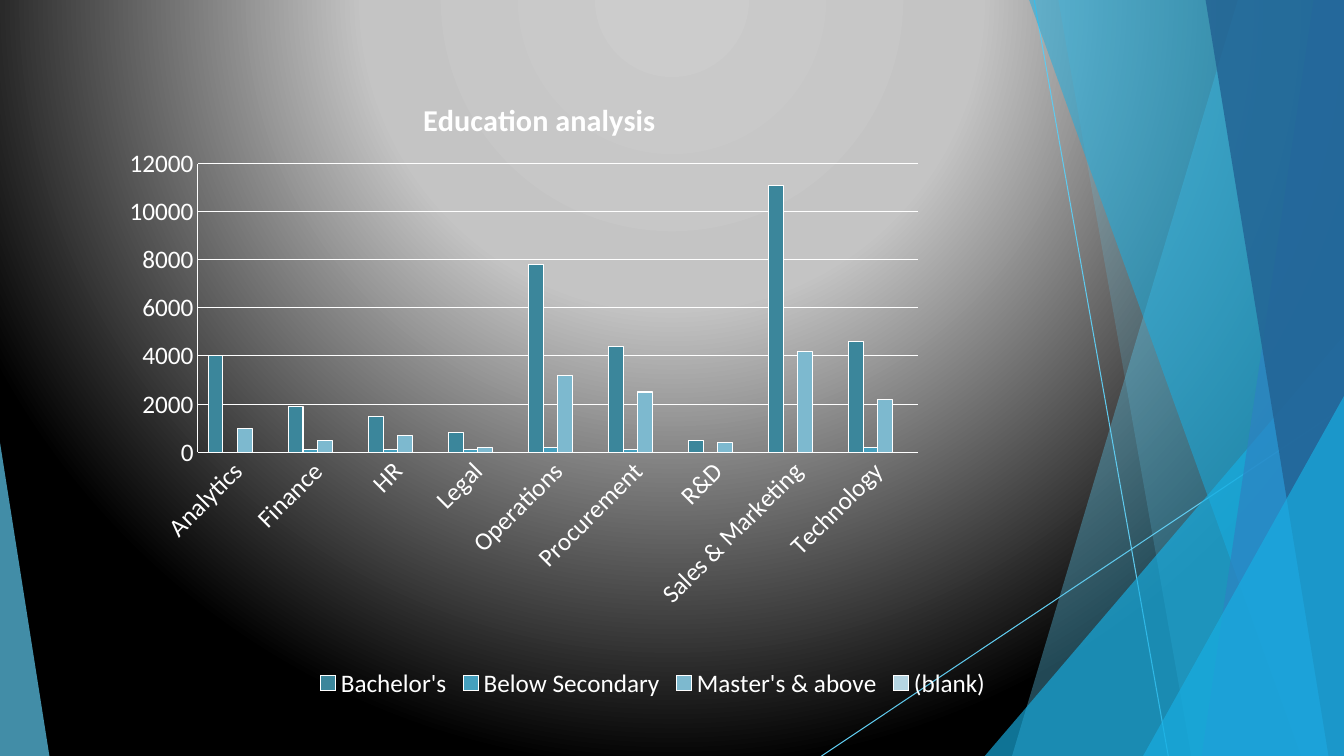
"""Build the education analysis slide: faceted backdrop and a clustered column chart."""
from lxml import etree
from pptx import Presentation
from pptx.chart.data import CategoryChartData
from pptx.dml.color import RGBColor
from pptx.enum.chart import XL_CHART_TYPE, XL_LEGEND_POSITION, XL_TICK_MARK
from pptx.enum.shapes import MSO_CONNECTOR
from pptx.oxml import parse_xml
from pptx.oxml.ns import qn
from pptx.util import Inches, Pt

COLUMNS = XL_CHART_TYPE.COLUMN_CLUSTERED
BOTTOM = XL_LEGEND_POSITION.BOTTOM
NO_TICK = XL_TICK_MARK.NONE
STRAIGHT = MSO_CONNECTOR.STRAIGHT
DRAWING = "http://schemas.openxmlformats.org/drawingml/2006/main"
CHARTING = "http://schemas.openxmlformats.org/drawingml/2006/chart"

THEME = {
    "font": "Calibri", "text": "FFFFFF", "size": 18, "title_size": 21.6,
    "sky": "5FCAEE", "cyan": "17AFE3", "blue": "2D83C3", "navy": "226192",
    "bars": ["3B869B", "45A0BE", "7DB9CF", "B5D5E2"],
    "glow": [(0, "CCCCCC"), (40, "C4C4C4"), (100, "000000")],
}
WIDTH, HEIGHT = 13.333, 7.5


def color(name):
    return RGBColor.from_string(THEME.get(name, name))


def style_text(font, size=THEME["size"], bold=False):
    font.name = THEME["font"]
    font.size = Pt(size)
    font.bold = bold
    font.color.rgb = color("text")


deck = Presentation()
deck.slide_width, deck.slide_height = Inches(WIDTH), Inches(HEIGHT)
page = deck.slides.add_slide(deck.slide_layouts[6])

backdrop = page.background.fill
backdrop.gradient()
gradient = page.element.find(".//" + qn("a:gradFill"))
stops = "".join(
    f'<a:gs pos="{share * 1000}"><a:srgbClr val="{tone}"/></a:gs>'
    for share, tone in THEME["glow"]
)
gradient.getparent().replace(gradient, parse_xml(
    f'<a:gradFill xmlns:a="{DRAWING}" rotWithShape="1"><a:gsLst>{stops}</a:gsLst>'
    '<a:path path="circle"><a:fillToRect l="50000" t="-80000" r="50000" b="180000"/>'
    '</a:path></a:gradFill>'
))

for start, end in [((10.26, 0), (11.59, HEIGHT)), ((WIDTH, 4.04), (8.15, HEIGHT))]:
    ray = page.shapes.add_connector(STRAIGHT, *map(Inches, start + end))
    ray.line.color.rgb = color("sky")
    ray.line.width = Pt(0.75)
    etree.SubElement(ray._element.spPr, qn("a:effectLst"))

right_top, right_foot = (WIDTH, 0), (WIDTH, HEIGHT)
facets = [
    ("sky", 36, [right_top, (12.28, 0), (10.04, HEIGHT), right_foot]),
    ("sky", 20, [right_top, (10.5, 0), (11.82, HEIGHT), right_foot]),
    ("cyan", 66, [(WIDTH, 3.33), (9.77, HEIGHT), right_foot]),
    ("cyan", 50, [right_top, (10.21, 0), (12.91, HEIGHT), right_foot]),
    ("blue", 70, [right_top, (13.03, 0), (11.92, HEIGHT), right_foot]),
    ("navy", 80, [right_top, (11.96, 0), (13.18, HEIGHT), right_foot]),
    ("cyan", 66, [(WIDTH, 3.93), (11.34, HEIGHT), right_foot]),
    ("sky", 70, [(0, 4.39), (0, HEIGHT), (0.49, HEIGHT)]),
]
for tone, opacity, corners in facets:
    points = [(Inches(x), Inches(y)) for x, y in corners]
    outline = page.shapes.build_freeform(*points[0])
    outline.add_line_segments(points[1:], close=True)
    facet = outline.convert_to_shape()
    facet.shadow.inherit = False
    facet.line.fill.background()
    facet.fill.solid()
    facet.fill.fore_color.rgb = color(tone)
    paint = facet._element.spPr.find(".//" + qn("a:srgbClr"))
    etree.SubElement(paint, qn("a:alpha")).set("val", str(opacity * 1000))

data = CategoryChartData()
data.categories = ["Analytics", "Finance", "HR", "Legal", "Operations",
                   "Procurement", "R&D", "Sales & Marketing", "Technology"]
data.add_series("Bachelor's", [4000, 1900, 1500, 800, 7800, 4400, 500, 11100, 4600])
data.add_series("Below Secondary", [0, 100, 100, 100, 200, 100, 0, 0, 200])
data.add_series("Master's & above", [1000, 500, 700, 200, 3200, 2500, 400, 4200, 2200])
data.add_series("(blank)", [0] * 9)
frame = page.shapes.add_chart(
    COLUMNS, Inches(0.73), Inches(0.7), Inches(11.49), Inches(6.28), data)
chart = frame.chart
style_text(chart.font)

chart.has_title = True
heading = chart.chart_title
heading.include_in_layout = False
span = heading.text_frame.paragraphs[0].add_run()
span.text = "Education analysis"
style_text(span.font, THEME["title_size"], bold=True)

chart.has_legend = True
chart.legend.position = BOTTOM
chart.legend.include_in_layout = False
style_text(chart.legend.font)

for axis in (chart.category_axis, chart.value_axis):
    axis.major_tick_mark = axis.minor_tick_mark = NO_TICK
    axis.format.line.color.rgb = color("text")
    axis.format.line.width = Pt(0.75)
    style_text(axis.tick_labels.font)
slant = chart.category_axis._element.find(qn("c:txPr")).find(qn("a:bodyPr"))
slant.set("rot", "-2700000")
slant.set("vert", "horz")
scale = chart.value_axis
scale.minimum_scale, scale.maximum_scale, scale.major_unit = 0, 12000, 2000
scale.has_major_gridlines = True
scale.major_gridlines.format.line.color.rgb = color("text")
scale.major_gridlines.format.line.width = Pt(0.75)

plot = chart.plots[0]
plot.vary_by_categories = False
plot.gap_width, plot.overlap = 150, 0
for series, tone in zip(plot.series, THEME["bars"]):
    series.invert_if_negative = False
    series.format.fill.solid()
    series.format.fill.fore_color.rgb = color(tone)
    series.format.line.color.rgb = color("text")
    series.format.line.width = Pt(0.75)

title_place = {"xMode": "edge", "yMode": "edge", "x": 0.297, "y": 0.036}
plot_place = {"layoutTarget": "inner", "xMode": "edge", "yMode": "edge",
              "x": 0.107, "y": 0.147, "w": 0.622, "h": 0.456}
plot_area = chart._chartSpace.find(".//" + qn("c:plotArea"))
for owner, index, place in [(heading._element, 1, title_place), (plot_area, 0, plot_place)]:
    for old in owner.findall(qn("c:layout")):
        owner.remove(old)
    settings = "".join(f'<c:{key} val="{value}"/>' for key, value in place.items())
    owner.insert(index, parse_xml(
        f'<c:layout xmlns:c="{CHARTING}"><c:manualLayout>{settings}'
        '</c:manualLayout></c:layout>'))

deck.save("out.pptx")
